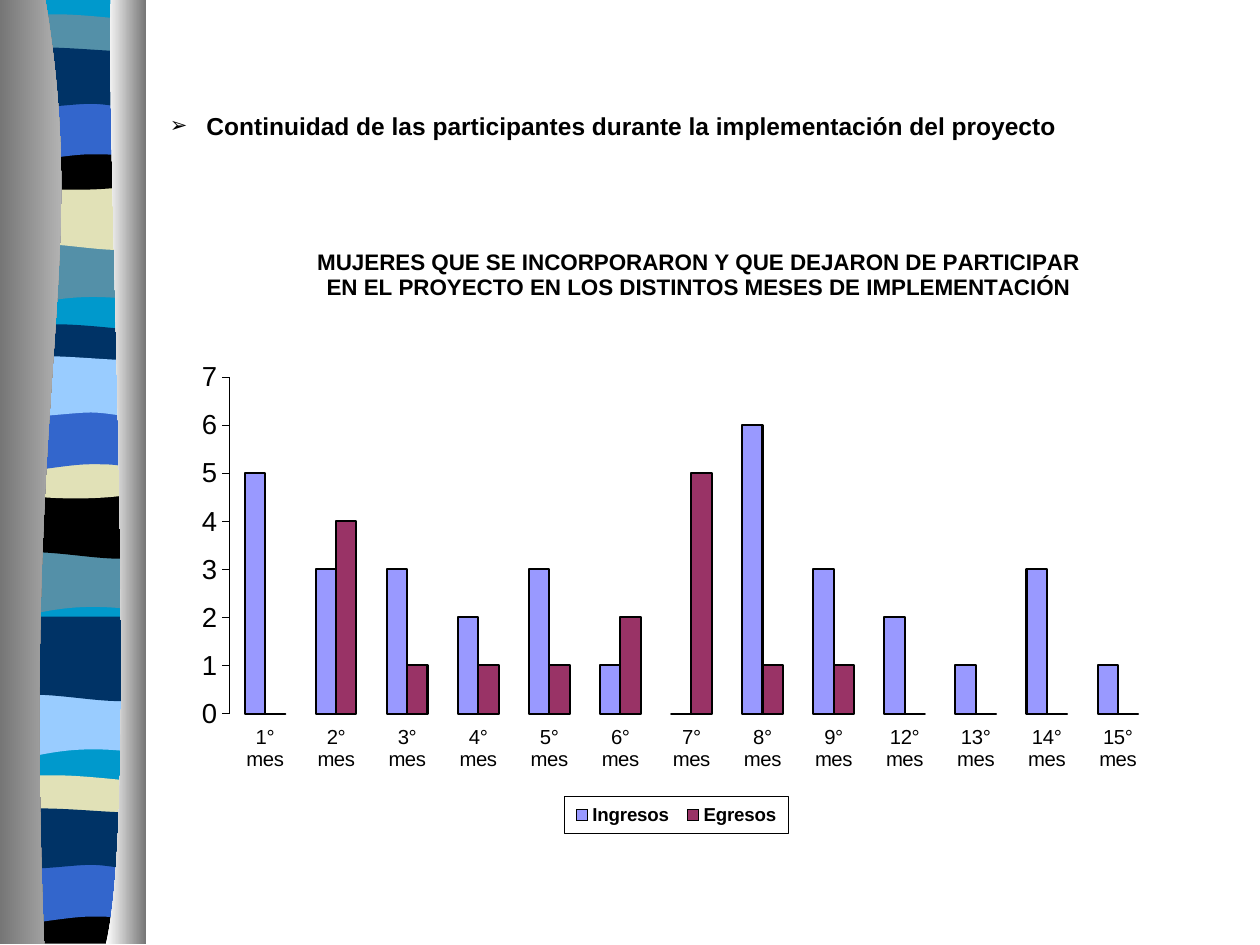
from dataclasses import dataclass
from typing import NamedTuple

from pptx import Presentation
from pptx.chart.data import CategoryChartData
from pptx.dml.color import RGBColor
from pptx.enum.chart import XL_CHART_TYPE as ChartType
from pptx.enum.chart import XL_LEGEND_POSITION as LegendPosition
from pptx.enum.chart import XL_TICK_LABEL_POSITION as LabelPosition
from pptx.enum.chart import XL_TICK_MARK as TickMark
from pptx.oxml import parse_xml
from pptx.oxml.ns import nsdecls, qn
from pptx.util import Inches, Pt


@dataclass(frozen=True)
class Theme:
    font: str = "Arial"
    black: str = "000000"
    white: str = "FFFFFF"
    cyan: str = "0099CC"
    teal: str = "5490A8"
    sand: str = "E1E1B7"
    blue: str = "3366CC"
    navy: str = "003366"
    sky: str = "99CCFF"
    shade: str = "767676"
    silver: str = "CFCFCF"
    income: str = "9999FF"
    exit: str = "993366"
    heading_size: float = 14
    title_size: float = 12.8
    value_size: float = 15.7
    category_size: float = 11.6
    legend_size: float = 10.7
    hairline: float = 0.29
    bar_line: float = 1.16


class Band(NamedTuple):
    profile: str
    top: float
    color: str
    stretch: float = 1.35


class Series(NamedTuple):
    name: str
    values: tuple
    color: str


THEME = Theme()

# Outlines: a pair is a straight step, six numbers are a cubic curve.
PROFILES = {
    "flat": [(1.14, 0), (1.14, 7.47), (0.05, 7.47), (0.05, 0)],
    "sag": [(1.14, 0), (1.14, 0.47), (0.39, 0.39, 0.24, 0.55, 0.05, 0.47), (0.05, 0)],
    "ripple": [(1.14, 0), (1.14, 0.47), (0.96, 0.55, 0.39, 0.42, 0.06, 0.47), (0.06, 0)],
    "crest": [(1.14, 0.05), (1.14, 0.29), (0.96, 0.34, 0.24, 0.34, 0.05, 0.29), (0.05, 0.05),
              (0.12, 0, 0.29, 0.01, 0.47, 0.01), (0.65, 0.01, 1, 0.04, 1.14, 0.05)],
    "bowl": [(1.14, 0), (1.14, 0.32), (0.96, 0.38, 0.24, 0.38, 0.06, 0.32), (0.06, 0),
             (0.72, 0.05, 0.91, 0, 1.14, 0)],
    "base": [(1.13, 0), (1.13, 0.33), (0.06, 0.33), (0.05, 0),
             (0.71, 0.05, 0.9, 0, 1.13, 0)],
    "arch": [(1.14, 0), (1.14, 0.47), (0.97, 0.42, 0.9, 0.42, 0.72, 0.42),
             (0.54, 0.42, 0.22, 0.47, 0.06, 0.47), (0.06, 0)],
    "swell": [(1.14, 0.05), (1.14, 0.36), (1.07, 0.41, 0.9, 0.36, 0.72, 0.36),
              (0.54, 0.36, 0.17, 0.41, 0.05, 0.36), (0.05, 0.05),
              (0.21, 0, 0.79, 0.05, 0.97, 0.05), (1.14, 0.05)],
    "left pillar": [(0.36, 0), (0.72, 2.16, 0.17, 2.96, 0.35, 7.49), (0, 7.49), (0, 0)],
    "right pillar": [(0.88, 0), (0.84, 1.25, 1.11, 6.46, 0.84, 7.49), (1.16, 7.49), (1.16, 0)],
}

BANDS = [
    Band("flat", 0, THEME.cyan, stretch=1),
    Band("sag", 1.85, THEME.teal), Band("ripple", 1.41, THEME.sand),
    Band("crest", 0.16, THEME.teal), Band("bowl", 1.08, THEME.black),
    Band("arch", 0.74, THEME.blue), Band("swell", 0.41, THEME.navy),
    Band("sag", 4.31, THEME.teal), Band("ripple", 3.86, THEME.black),
    Band("crest", 2.62, THEME.navy), Band("bowl", 3.53, THEME.sand),
    Band("arch", 3.2, THEME.blue), Band("swell", 2.86, THEME.sky),
    Band("sag", 5.44, THEME.sky), Band("ripple", 4.99, THEME.navy),
    Band("crest", 6.2, THEME.sand), Band("base", 7.16, THEME.black, stretch=1),
    Band("arch", 6.79, THEME.blue), Band("swell", 6.45, THEME.navy),
]
PILLARS = {"left pillar": (THEME.shade, THEME.silver),
           "right pillar": (THEME.white, THEME.shade)}

MONTHS = (*range(1, 10), *range(12, 16))
SERIES = [
    Series("Ingresos", (5, 3, 3, 2, 3, 1, 0, 6, 3, 2, 1, 3, 1), THEME.income),
    Series("Egresos", (0, 4, 1, 1, 1, 2, 5, 1, 1, 0, 0, 0, 0), THEME.exit),
]
HEADING = "Continuidad de las participantes durante la implementación del proyecto"
CHART_TITLE = ("MUJERES QUE SE INCORPORARON Y QUE DEJARON DE PARTICIPAR "
               "EN EL PROYECTO EN LOS DISTINTOS MESES DE IMPLEMENTACIÓN")


def set_font(font, size: float, bold: bool = False) -> None:
    formats = {"name": THEME.font, "size": Pt(size), "bold": bold}
    for name, value in formats.items():
        setattr(font, name, value)
    font.color.rgb = RGBColor.from_string(THEME.black)


def set_line(line, width: float) -> None:
    line.color.rgb = RGBColor.from_string(THEME.black)
    line.width = Pt(width)


def bend(shape, profile: list, stretch: float) -> None:
    """Join control points into cubic curves, and stretch the path about its middle."""
    outline = shape._element.find(".//" + qn("a:path"))
    middle = shape.height / 2
    for point in outline.iter(qn("a:pt")):
        point.set("y", str(round(middle + (int(point.get("y")) - middle) * stretch)))
    steps = iter(outline.findall(qn("a:lnTo")))
    for part in profile[1:]:
        step = next(steps)
        if len(part) == 6:
            curve = parse_xml(f"<a:cubicBezTo {nsdecls('a')}/>")
            step.addprevious(curve)
            for corner in (step, next(steps), next(steps)):
                curve.append(corner[0])
                outline.remove(corner)


def add_outline(page, name: str, top: float = 0, stretch: float = 1):
    profile = PROFILES[name]
    points = [(Inches(part[i]), Inches(top + part[i + 1]))
              for part in profile for i in range(0, len(part), 2)]
    builder = page.shapes.build_freeform(*points[0])
    builder.add_line_segments(points[1:], close=True)
    shape = builder.convert_to_shape()
    bend(shape, profile, stretch)
    shape.shadow.inherit = False
    shape.line.fill.background()
    return shape


def add_ribbon(page) -> None:
    for band in BANDS:
        fill = add_outline(page, band.profile, band.top, band.stretch).fill
        fill.solid()
        fill.fore_color.rgb = RGBColor.from_string(band.color)
    for profile, colors in PILLARS.items():
        fill = add_outline(page, profile).fill
        fill.gradient()
        fill.gradient_angle = 0
        for stop, color in zip(fill.gradient_stops, colors):
            stop.color.rgb = RGBColor.from_string(color)


def add_heading(page) -> None:
    box = page.shapes.add_textbox(Inches(1.25), Inches(0.83), Inches(8.42), Inches(0.81))
    box.text_frame.word_wrap = True
    para = box.text_frame.paragraphs[0]
    props = para._p.get_or_add_pPr()
    props.set("marL", str(Inches(0.29)))
    props.set("indent", str(-Inches(0.29)))
    for bullet in ('buSzPct {} val="86000"', f'buFont {{}} typeface="{THEME.font}"',
                   'buChar {} char="➢"'):
        props.append(parse_xml(f"<a:{bullet.format(nsdecls('a'))}/>"))
    span = para.add_run()
    span.text = HEADING
    set_font(span.font, THEME.heading_size, bold=True)


def place(element, after: str, target: str = "", **fractions: float) -> None:
    """Give a chart part a manual layout in fractions of the chart."""
    for old in element.findall(qn("c:layout")):
        element.remove(old)
    inner = f'<c:layoutTarget val="{target}"/>' if target else ""
    inner += '<c:xMode val="edge"/><c:yMode val="edge"/>'
    inner += "".join(f'<c:{name} val="{value}"/>' for name, value in fractions.items())
    layout = parse_xml(f"<c:layout {nsdecls('c')}><c:manualLayout>{inner}"
                       "</c:manualLayout></c:layout>")
    if after:
        element.find(qn(after)).addnext(layout)
    else:
        element.insert(0, layout)


def add_legend(chart) -> None:
    chart.has_legend = True
    legend = chart.legend
    legend.position = LegendPosition.BOTTOM
    legend.include_in_layout = False
    set_font(legend.font, THEME.legend_size, bold=True)
    place(legend._element, "c:legendPos", x=0.385, y=0.925, w=0.228, h=0.062)
    legend._element.find(qn("c:overlay")).addnext(parse_xml(
        f"<c:spPr {nsdecls('c', 'a')}><a:solidFill><a:srgbClr val=\"{THEME.white}\"/>"
        f"</a:solidFill><a:ln w=\"{Pt(THEME.hairline)}\"><a:solidFill>"
        f"<a:srgbClr val=\"{THEME.black}\"/></a:solidFill></a:ln></c:spPr>"))


def add_month_chart(page) -> None:
    data = CategoryChartData()
    data.categories = [f"{month}°\nmes" for month in MONTHS]
    for series in SERIES:
        data.add_series(series.name, series.values)
    chart = page.shapes.add_chart(ChartType.COLUMN_CLUSTERED, Inches(1.47), Inches(1.84),
                                  Inches(7.81), Inches(4.84), data).chart
    set_font(chart.font, THEME.value_size)

    chart.has_title = True
    chart.chart_title.text_frame.text = CHART_TITLE
    span = chart.chart_title.text_frame.paragraphs[0].runs[0]
    set_font(span.font, THEME.title_size, bold=True)
    place(chart.chart_title._element, "c:tx", x=0.13, y=0.02)

    plot = chart.plots[0]
    plot.gap_width, plot.overlap, plot.vary_by_categories = 150, 0, False
    place(chart._chartSpace.chart.plotArea, "", "inner", x=0.045, y=0.238, w=0.939, h=0.552)
    for bars, series in zip(plot.series, SERIES):
        bars.format.fill.solid()
        bars.format.fill.fore_color.rgb = RGBColor.from_string(series.color)
        bars.invert_if_negative = False
        set_line(bars.format.line, THEME.bar_line)

    months, counts = chart.category_axis, chart.value_axis
    months.tick_label_position = LabelPosition.LOW
    months.format.line.fill.background()
    set_line(counts.format.line, THEME.hairline)
    counts.minimum_scale, counts.maximum_scale, counts.major_unit = 0, 7, 1
    for axis, size in ((months, THEME.category_size), (counts, THEME.value_size)):
        axis.has_major_gridlines = False
        axis.major_tick_mark = TickMark.OUTSIDE
        set_font(axis.tick_labels.font, size)
    add_legend(chart)


def main() -> None:
    deck = Presentation()
    deck.slide_width, deck.slide_height = Inches(10), Inches(7.5)
    page = deck.slides.add_slide(deck.slide_layouts[6])
    add_ribbon(page)
    add_month_chart(page)
    add_heading(page)
    deck.save("out.pptx")


if __name__ == "__main__":
    main()
